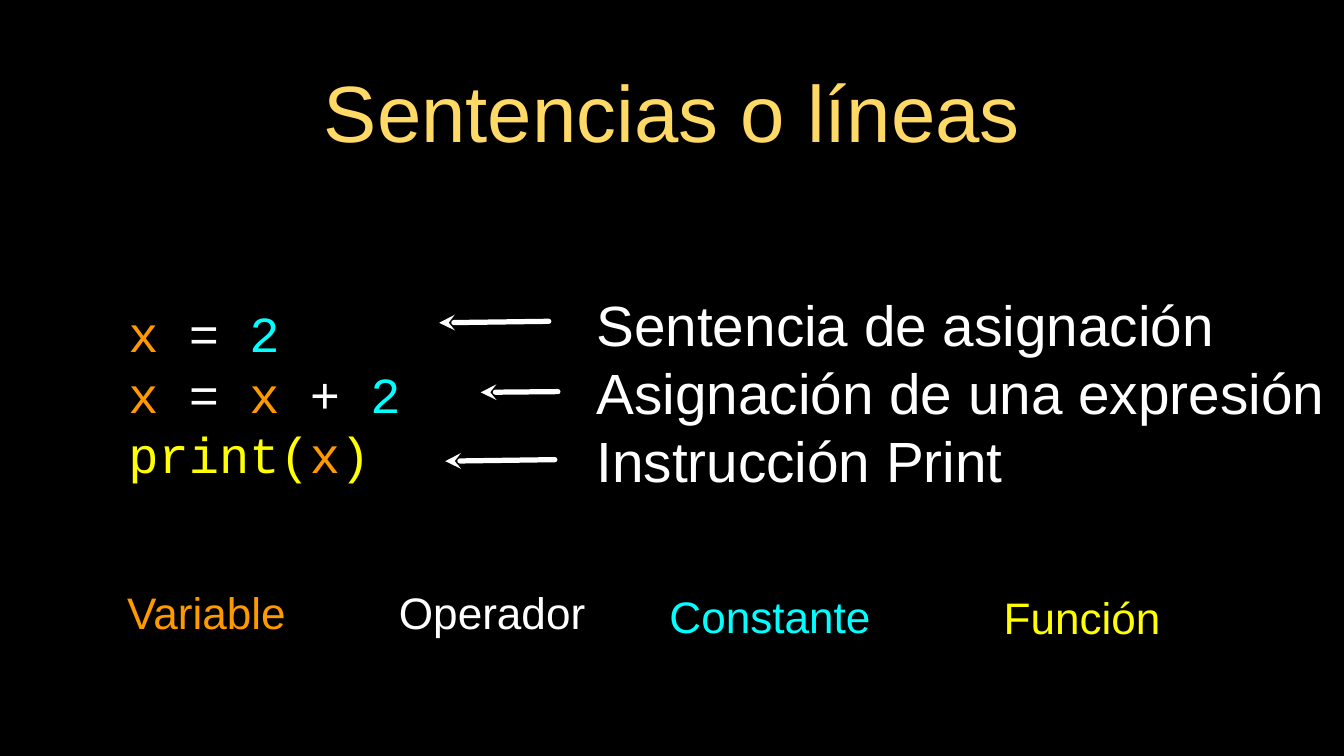
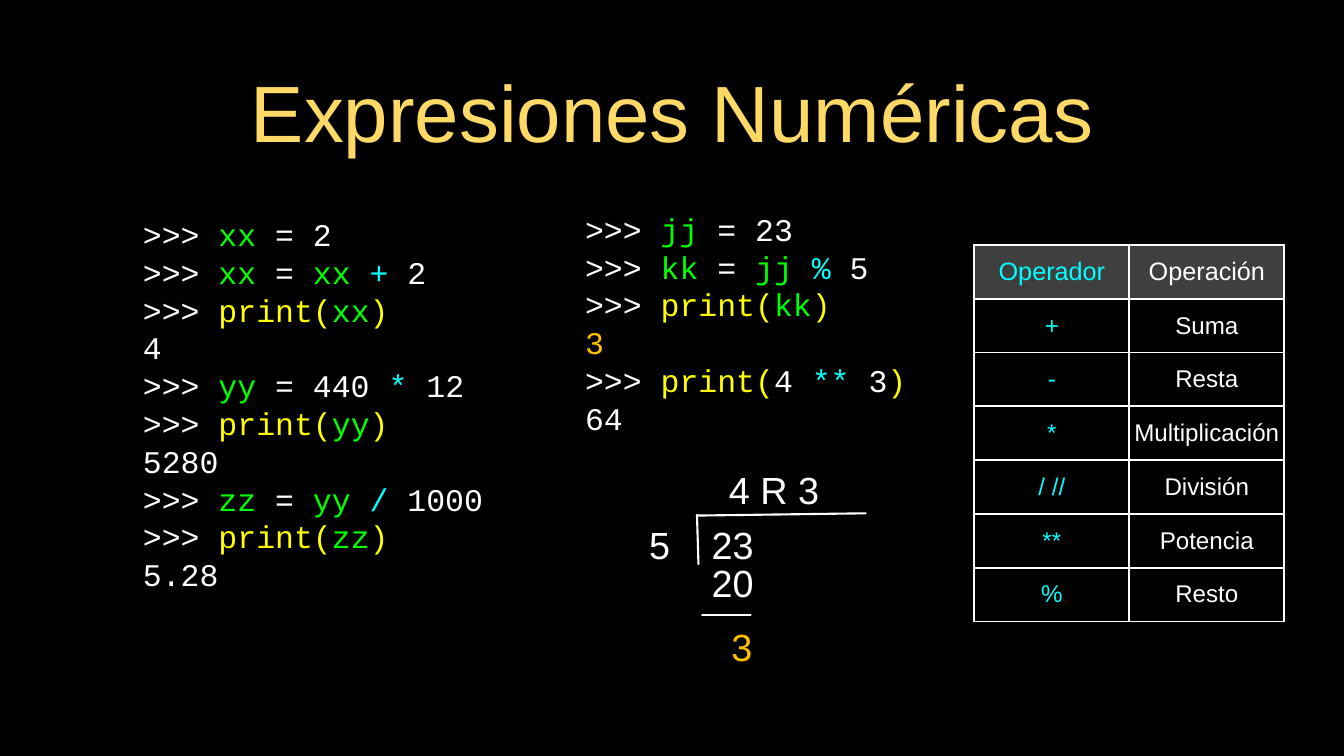
from lxml import etree
from pptx import Presentation, util as u
from pptx.dml.color import RGBColor
from pptx.enum import shapes, text
from pptx.oxml.ns import qn

COLORS = {"black": "000000", "title": "FFD966", "grey": "7F7F7F", "white": "FFFFFF",
          "orange": "FF9900", "cyan": "00FFFF", "yellow": "FFFF00",
          "green": "00FF00", "amber": "FFC000"}
MARKS = {"w": "white", "o": "orange", "c": "cyan", "y": "yellow", "g": "green", "a": "amber"}
SANS, MONO = "Arial", "Courier New"
LEFT, CENTER = text.PP_ALIGN.LEFT, text.PP_ALIGN.CENTER


def rgb(name):
    return RGBColor.from_string(COLORS[name])


class Deck:
    """Slide style and current slide; lengths are hundredths of the slide's size."""

    def __init__(self, width, height):
        self.prs = Presentation()
        self.prs.slide_width, self.prs.slide_height = u.Inches(width), u.Inches(height)
        self.s = None

    def x(self, cols):
        return round(self.prs.slide_width * cols / 100)

    def y(self, rows):
        return round(self.prs.slide_height * rows / 100)

    def box(self, left, top, width, height):
        return self.x(left), self.y(top), self.x(width), self.y(height)

    def slide(self, title):
        self.s = self.prs.slides.add_slide(self.prs.slide_layouts[6])
        fill = self.s.background.fill
        fill.solid()
        fill.fore_color.rgb = rgb("black")
        self.text((5, 8.6, 90, 12.1), [title], 76, "title", CENTER)

    def frame(self, box):
        tf = self.s.shapes.add_textbox(*self.box(*box)).text_frame
        tf.word_wrap = True
        tf.vertical_anchor = text.MSO_ANCHOR.MIDDLE
        tf.margin_left = tf.margin_right = tf.margin_top = tf.margin_bottom = 0
        return tf

    def paragraph(self, tf, i, size, font, align):
        p = tf.add_paragraph() if i else tf.paragraphs[0]
        p.alignment = align
        p.font.size, p.font.name = u.Pt(size), font
        return p

    def text(self, box, lines, size, color="white", align=LEFT):
        tf = self.frame(box)
        for i, line in enumerate(lines):
            p = self.paragraph(tf, i, size, SANS, align)
            p.font.color.rgb = rgb(color)
            p.add_run().text = line

    def code(self, box, lines, size):
        tf = self.frame(box)
        for i, line in enumerate(lines):
            p = self.paragraph(tf, i, size, MONO, LEFT)
            for token in line.split("|"):
                r = p.add_run()
                r.text = token[1:]
                r.font.color.rgb = rgb(MARKS[token[0]])

    def line(self, x1, y1, x2, y2, width=2, arrow=False):
        sp = self.s.shapes.add_connector(shapes.MSO_CONNECTOR.STRAIGHT, self.x(x1),
                                         self.y(y1), self.x(x2), self.y(y2))
        sp.line.width = u.Pt(width)
        sp.line.color.rgb = rgb("white")
        spPr = sp._element.spPr
        ln = spPr.find(qn("a:ln"))
        ln.set("cap", "rnd")
        if arrow:
            etree.SubElement(ln, qn("a:headEnd"), type="stealth")
        etree.SubElement(spPr, qn("a:effectLst"))

    def borders(self, tcPr, width):
        for i, side in enumerate(("lnL", "lnR", "lnT", "lnB")):
            ln = etree.Element(qn("a:" + side), w=str(u.Pt(width)))
            fill = etree.SubElement(ln, qn("a:solidFill"))
            etree.SubElement(fill, qn("a:srgbClr"), val=COLORS["white"])
            tcPr.insert(i, ln)

    def cell(self, cell, label, color, header):
        cell.vertical_anchor = text.MSO_ANCHOR.MIDDLE
        cell.margin_left = cell.margin_right = u.Inches(0.04)
        cell.margin_top = cell.margin_bottom = u.Inches(0.05)
        p = self.paragraph(cell.text_frame, 0, 24 if header else 23, SANS, CENTER)
        p.font.color.rgb = rgb(color)
        p.add_run().text = label
        tcPr = cell._tc.get_or_add_tcPr()
        if header:
            cell.fill.solid()
            cell.fill.fore_color.rgb = rgb("grey")
            etree.SubElement(tcPr.find(".//" + qn("a:srgbClr")), qn("a:alpha"), val="50000")
        else:
            cell.fill.background()
        self.borders(tcPr, 2)

    def table(self, box, rows, colors):
        table = self.s.shapes.add_table(len(rows), len(colors), *self.box(*box)).table
        table.first_row = table.horz_banding = False
        for i, row in enumerate(rows):
            for j, label in enumerate(row):
                self.cell(table.cell(i, j), label, colors[j], i == 0)


def statements(deck):
    deck.slide("Sentencias o líneas")
    deck.code((9.56, 29.9, 24.63, 44.2),
              ["ox |w= |c2", "ox |w= |ox |w+ |c2", "yprint(|ox|y)"], 48)
    for label, color, left, top, width in (("Variable", "orange", 8.16, 77, 14.4),
                                           ("Operador", "white", 28.91, 77, 15.41),
                                           ("Constante", "cyan", 49.72, 77.5, 15.13),
                                           ("Función", "yellow", 71.26, 77.7, 18.5)):
        deck.text((left, top, width, 7.9), [label], 42, color, CENTER)
    deck.text((44.38, 29.7, 54.2, 44.2),
              ["Sentencia de asignación", "Asignación de una expresión", "Instrucción Print"], 54)
    for ends in ((32.68, 42.7, 40.83, 42.5), (35.77, 51.9, 41.51, 51.8), (33.13, 61, 41.28, 60.8)):
        deck.line(*ends, width=5, arrow=True)


def expressions(deck):
    deck.slide("Expresiones Numéricas")
    deck.code((10.63, 24.4, 27.45, 58.1),
              ["w>>> |gxx|w = 2", "w>>> |gxx|w = |gxx |c+|w 2", "w>>> |yprint(|gxx|y)", "w4",
               "w>>> |gyy|w = 440 |c*|w 12", "w>>> |yprint(|gyy|y)", "w5280",
               "w>>> |gzz|w = |gyy |c/|w 1000", "w>>> |yprint(|gzz|y)", "w5.28"], 30)
    deck.code((43.53, 25.1, 24.75, 35.3),
              ["w>>>|g jj|w = 23", "w>>> |gkk|w = |gjj |c% |w5", "w>>> |yprint(|gkk|y)", "a3",
               "w>>> |yprint(|w4 |c**|w 3|y)", "w64"], 30)
    deck.table((72.5, 32.4, 23.06, 49.8),
               [("Operador", "Operación"), ("+", "Suma"), ("-", "Resta"),
                ("*", "Multiplicación"), ("/ //", "División"), ("**", "Potencia"),
                ("%", "Resto")], ("cyan", "white"))
    for ends in ((51.86, 68.1, 51.97, 74.6), (51.86, 68.2, 64.4, 67.9), (52.25, 81.4, 55.85, 81.4)):
        deck.line(*ends)
    for label, color, left, top, width in (("5", "white", 48.03, 68.6, 2.08),
                                           ("23", "white", 52.76, 68.6, 3.49),
                                           ("4 R 3", "white", 54.22, 61.3, 6.75),
                                           ("20", "white", 52.76, 73.6, 3.49),
                                           ("3", "amber", 54.16, 82.1, 2.08)):
        deck.text((left, top, width, 6.8), [label], 36, color, CENTER)


def main():
    deck = Deck(17.78, 10)
    statements(deck)
    expressions(deck)
    deck.prs.save("out.pptx")


if __name__ == "__main__":
    main()
